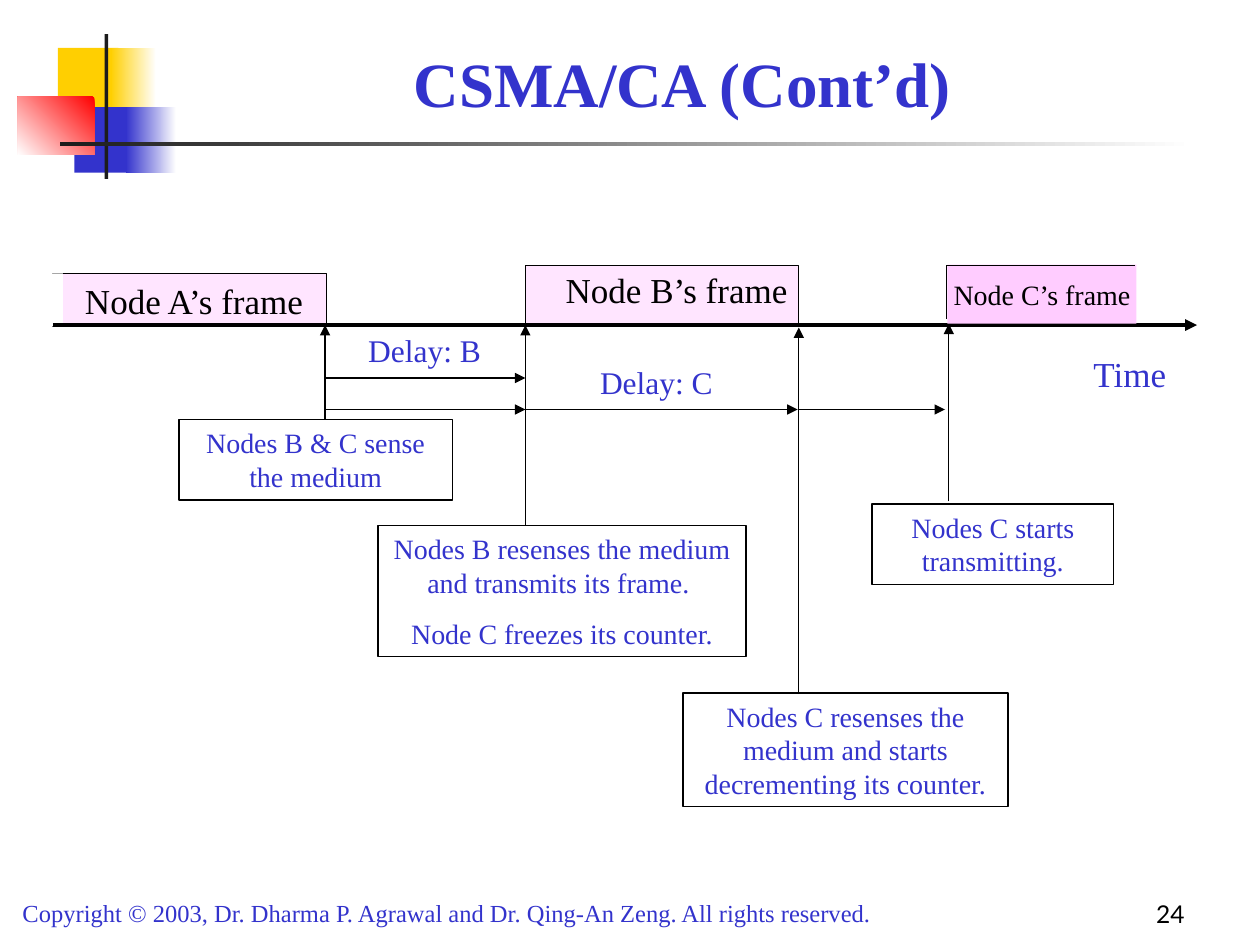
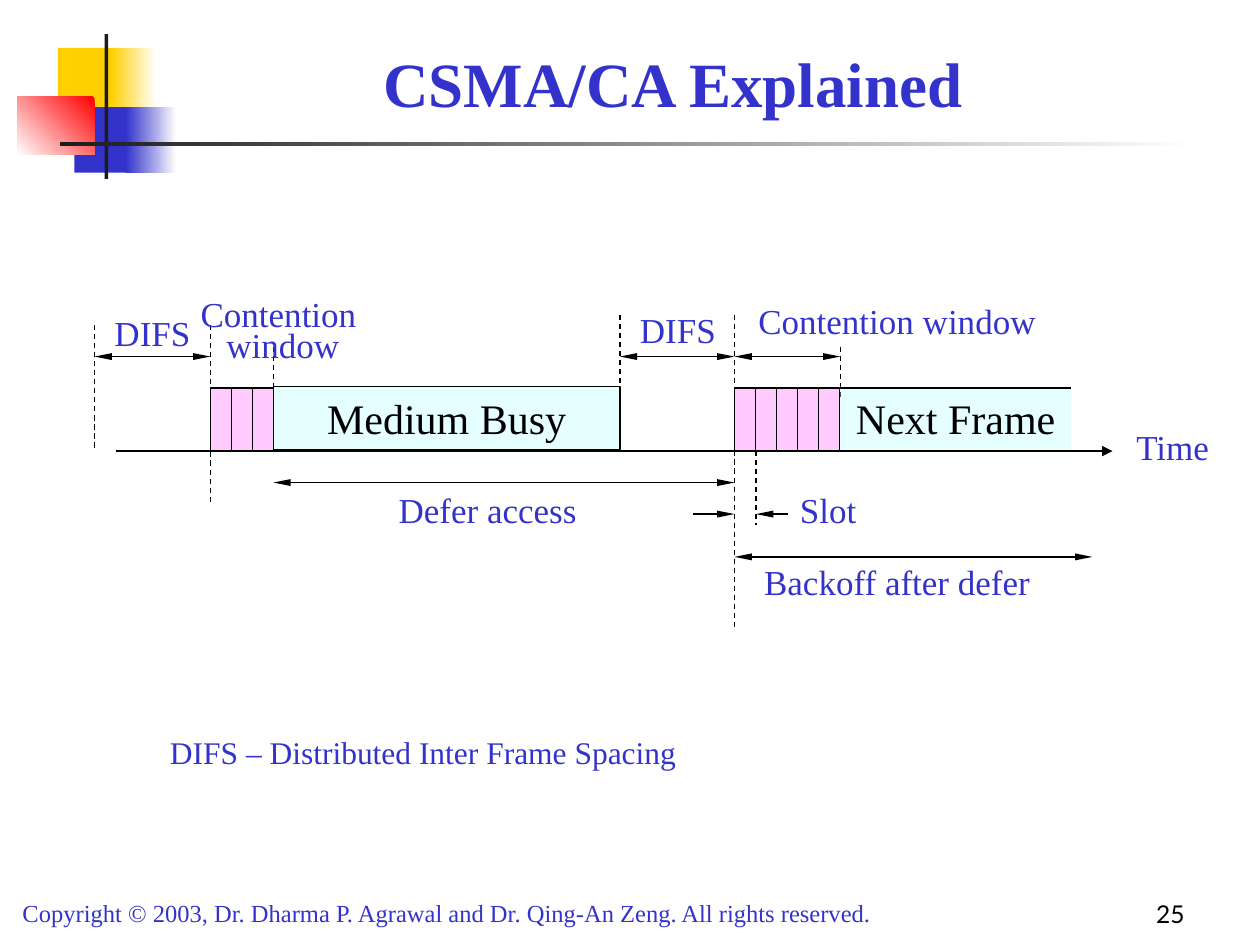
from dataclasses import dataclass

from lxml import etree
from pptx import Presentation
from pptx.dml.color import RGBColor
from pptx.enum.dml import MSO_LINE_DASH_STYLE as DASH
from pptx.enum.shapes import MSO_CONNECTOR as CONNECTOR, MSO_SHAPE as SHAPE
from pptx.enum.text import MSO_ANCHOR as ANCHOR, PP_ALIGN as ALIGN
from pptx.oxml.ns import qn
from pptx.util import Inches, Pt

COLORS = {
    "blue": "3333CC", "yellow": "FFCF01", "red": "FF0000", "white": "FFFFFF",
    "black": "000000", "dark": "1C1C1C", "pink": "FFCCFF", "magenta": "FF99FF",
    "cyan": "CCFFFF",
}
SERIF = "Times New Roman"
COPYRIGHT = ("Copyright © 2003, Dr. Dharma P. Agrawal and Dr. Qing-An Zeng. "
             "All rights reserved.")
SLOT_W = 1 / 6


@dataclass
class Box:
    """A rectangle or label, with optional fill, outline and text."""
    x: float
    y: float
    w: float
    h: float
    text: str = ""
    size: float = 20
    color: str = "blue"
    align: ALIGN = ALIGN.CENTER
    fill: str | None = None
    alpha: int = 100
    outline: bool = False
    space: float = 0
    spacing: float | None = None
    insets: tuple[float, float] = (0.1, 0.05)


@dataclass
class Line:
    """A straight line, with optional arrowheads."""
    x1: float
    y1: float
    x2: float
    y2: float
    heads: str = ""          # any of "head", "tail", "both"
    dash: bool = False
    width: float = 0.75
    slim: bool = False       # narrow, long arrowheads


@dataclass
class Band:
    """A block of the corner ornament, fading from start to end."""
    x: float
    y: float
    w: float
    h: float
    start: str
    end: str | None = None
    angle: float = 180


BANDS = [
    Band(0.46, 0.38, 0.48, 0.52, "yellow"),
    Band(0.88, 0.38, 0.36, 0.52, "white", "yellow"),
    Band(0.59, 0.85, 0.46, 0.52, "blue"),
    Band(1, 0.85, 0.4, 0.52, "white", "blue"),
    Band(0.14, 0.77, 0.61, 0.46, "red", "white", 225),
    Band(0.83, 0.27, 0.03, 1.15, "dark"),
    Band(0.48, 1.13, 9, 0.03, "white", "dark"),
]


def rgb(name: str) -> RGBColor:
    return RGBColor.from_string(COLORS[name])


def write_text(tf, text: str, *, size: float = 20, color: str = "blue",
               font: str = SERIF, bold: bool = False, align=ALIGN.CENTER,
               anchor=ANCHOR.TOP, space: float = 0,
               spacing: float | None = None,
               insets: tuple[float, float] = (0.1, 0.05)) -> None:
    """Write text into a frame, one paragraph for each line."""
    tf.word_wrap = True
    tf.vertical_anchor = anchor
    tf.margin_left = tf.margin_right = Inches(insets[0])
    tf.margin_top = tf.margin_bottom = Inches(insets[1])
    for i, line in enumerate(text.split("\n")):
        p = tf.paragraphs[0] if i == 0 else tf.add_paragraph()
        p.alignment = align
        if i:
            p.space_before = Pt(space)
        if spacing:
            p.line_spacing = spacing
        r = p.add_run()
        r.text = line
        r.font.name, r.font.size, r.font.bold = font, Pt(size), bold
        r.font.color.rgb = rgb(color)


def add_text(slide, x: float, y: float, w: float, h: float, text: str,
             **fmt) -> None:
    sp = slide.shapes.add_textbox(Inches(x), Inches(y), Inches(w), Inches(h))
    write_text(sp.text_frame, text, **fmt)


def add_rect(slide, x: float, y: float, w: float, h: float):
    sp = slide.shapes.add_shape(SHAPE.RECTANGLE, Inches(x), Inches(y),
                                Inches(w), Inches(h))
    sp.shadow.inherit = False
    sp.line.fill.background()
    return sp


def draw_band(slide, band: Band) -> None:
    sp = add_rect(slide, band.x, band.y, band.w, band.h)
    if band.end is None:
        sp.fill.solid()
        sp.fill.fore_color.rgb = rgb(band.start)
        return
    sp.fill.gradient()
    sp.fill.gradient_angle = band.angle
    for stop, name in zip(sp.fill.gradient_stops, (band.start, band.end)):
        stop.color.rgb = rgb(name)


def draw_box(slide, box: Box) -> None:
    fmt = dict(size=box.size, color=box.color, align=box.align,
               space=box.space, spacing=box.spacing, insets=box.insets)
    place = (box.x, box.y, box.w, box.h)
    if not (box.fill or box.outline):
        add_text(slide, *place, box.text, **fmt)
        return
    sp = add_rect(slide, *place)
    if box.fill:
        sp.fill.solid()
        sp.fill.fore_color.rgb = rgb(box.fill)
        if box.alpha < 100:
            clr = sp.fill._xPr.find(".//" + qn("a:srgbClr"))
            etree.SubElement(clr, qn("a:alpha"), val=str(box.alpha * 1000))
    else:
        sp.fill.background()
    if box.outline:
        sp.line.color.rgb = rgb("black")
        sp.line.width = Pt(0.75)
    if box.text:
        write_text(sp.text_frame, box.text, **fmt)


def draw_line(slide, line: Line) -> None:
    cx = slide.shapes.add_connector(
        CONNECTOR.STRAIGHT, Inches(line.x1), Inches(line.y1),
        Inches(line.x2), Inches(line.y2))
    cx.line.color.rgb = rgb("black")
    cx.line.width = Pt(line.width)
    if line.dash:
        cx.line.dash_style = DASH.DASH
    ln = cx.line._get_or_add_ln()
    w, length = ("sm", "lg") if line.slim else ("med", "med")
    for end in ("head", "tail"):
        if line.heads in (end, "both"):
            etree.SubElement(ln, qn(f"a:{end}End"), type="triangle",
                             w=w, len=length)
    etree.SubElement(cx._element.spPr, qn("a:effectLst"))


def build_slide(prs, title: str, title_at: tuple, number: int,
                items: list) -> None:
    """Draw the shared frame, then the diagram from back to front."""
    slide = prs.slides.add_slide(prs.slide_layouts[6])
    for band in BANDS:
        draw_band(slide, band)
    add_text(slide, 0.08, 7.08, 7.58, 0.34, COPYRIGHT, size=14,
             align=ALIGN.LEFT)
    add_text(slide, *title_at, title, size=36, bold=True,
             anchor=ANCHOR.BOTTOM)
    for item in items:
        if isinstance(item, Box):
            draw_box(slide, item)
        else:
            draw_line(slide, item)
    add_text(slide, 7.42, 6.92, 2.08, 0.5, str(number), size=14,
             color="black", font="Lato", align=ALIGN.RIGHT,
             anchor=ANCHOR.BOTTOM)


def note(x: float, y: float, w: float, h: float, text: str) -> Box:
    return Box(x, y, w, h, text, 16, outline=True, space=10)


def frame(x: float, y: float, w: float, h: float) -> Box:
    return Box(x, y, w, h, fill="pink", alpha=50, outline=True)


def arrow(x1: float, y1: float, x2: float, y2: float) -> Line:
    return Line(x1, y1, x2, y2, "tail")


def span(x1: float, x2: float, y: float) -> Line:
    return Line(x1, y, x2, y, "both", slim=True)


def marker(x: float, y1: float, y2: float) -> Line:
    return Line(x, y1, x, y2, dash=True)


def slots(x: float, count: int) -> list[Box]:
    return [Box(x + i * SLOT_W, 3.08, SLOT_W, 0.5, fill="magenta", alpha=50,
                outline=True) for i in range(count)]


def backoff_items() -> list:
    a_end, b_start, b_end, c_start = 2.58, 4.17, 6.33, 7.51
    axis_y, delay_y = 2.58, 3.25
    return [
        Box(8.58, 2.75, 0.92, 0.44, "Time", align=ALIGN.LEFT),
        # Frames A and B, and their notes
        frame(0.42, 2.17, 2.17, 0.42),
        Box(0.5, 2.17, 2.08, 0.44, "Node A’s frame", color="black"),
        arrow(a_end, 3.33, a_end, axis_y),
        note(1.42, 3.33, 2.17, 0.64, "Nodes B & C sense the medium"),
        arrow(b_start, 4.17, b_start, axis_y),
        note(3, 4.17, 2.92, 1.04,
             "Nodes B resenses the medium and transmits its frame. \n"
             "Node C freezes its counter."),
        frame(b_start, 2.11, 2.17, 0.48),
        Box(4.08, 2.08, 2.58, 0.44, "Node B’s frame", color="black"),
        arrow(7.53, 3.98, 7.53, 2.57),
        note(6.92, 4, 1.92, 0.64, "Nodes C starts transmitting."),
        Box(0.25, 2.17, 0.25, 0.42, fill="white"),
        # Delays and time axis
        arrow(a_end, 3, b_start, 3),
        arrow(b_end, delay_y, 7.5, delay_y),
        Box(2.58, 2.58, 1.58, 0.4, "Delay: B", 18),
        Box(4.42, 2.83, 1.58, 0.4, "Delay: C", 18),
        Line(0.42, axis_y, 9.5, axis_y, "tail", width=2.25),
        arrow(6.34, 5.51, 6.34, 2.6),
        arrow(a_end, delay_y, b_start, delay_y),
        note(5.42, 5.5, 2.58, 0.9, "Nodes C resenses the medium and starts "
             "decrementing its counter."),
        arrow(b_start, delay_y, b_end, delay_y),
        # Frame C, open on the right
        Box(7.52, 2.1, 1.5, 0.47, "Node C’s frame", 16, "black", fill="pink",
            insets=(0, 0.1)),
        Line(c_start, 2.11, c_start, 2.53),
        Line(c_start, 2.11, 9.01, 2.11),
    ]


def difs_items() -> list:
    first, busy, idle, backoff, nxt = 1.67, 2.17, 4.92, 5.83, 6.67
    span_y, axis_y = 2.83, 3.58
    return [
        # Markers, spans and time axis
        marker(0.75, 2.58, axis_y),
        span(0.75, first, span_y),
        Box(0.75, 2.42, 0.92, 0.44, "DIFS"),
        marker(first, 2.58, 4),
        marker(idle, 2.5, 3.42),
        span(idle, backoff, span_y),
        arrow(0.92, axis_y, 8.83, axis_y),
        marker(backoff, 2.5, 5),
        marker(nxt, 2.75, 3.17),
        span(backoff, nxt, span_y),
        # Slots and frames
        *slots(backoff, 5),
        Box(nxt, 3.07, 1.83, 0.5, "Next Frame", 24, "black", fill="cyan",
            alpha=50),
        Box(busy, 3.07, 2.75, 0.5, "Medium Busy", 24, "black", fill="cyan",
            alpha=50, outline=True),
        Box(idle, 2.4, 0.92, 0.44, "DIFS"),
        Box(backoff, 2.33, 2.58, 0.44, "Contention window"),
        # Deferral, slot and backoff
        span(busy, backoff, 3.83),
        span(backoff, 8.67, 4.42),
        Box(2.58, 3.83, 2.58, 0.44, "Defer access"),
        Box(backoff, 4.4, 2.58, 0.44, "Backoff after defer"),
        Line(nxt, 3.08, 8.5, 3.08),
        marker(6, axis_y, 4.17),
        Line(5.5, 4.08, backoff, 4.08, "tail", slim=True),
        Line(6.25, 4.08, 6, 4.08, "tail", slim=True),
        Box(6.25, 3.83, 0.67, 0.44, "Slot", align=ALIGN.LEFT),
        Box(8.92, 3.33, 0.83, 0.44, "Time", align=ALIGN.LEFT),
        Box(1.25, 5.77, 4.92, 0.4, "DIFS – Distributed Inter Frame Spacing",
            18, align=ALIGN.LEFT),
        # First contention window
        *slots(first, 3),
        marker(busy, 2.75, 3.17),
        Box(0.92, 2.5, 2.58, 0.41, "Contention\n window", space=12.5,
            spacing=0.2),
    ]


def main() -> None:
    prs = Presentation()
    prs.slide_width, prs.slide_height = Inches(10), Inches(7.5)
    build_slide(prs, "CSMA/CA (Cont’d)", (0.83, 0.25, 9.17, 0.75), 24,
                backoff_items())
    build_slide(prs, "CSMA/CA Explained", (1.08, 0.39, 8.52, 0.61), 25,
                difs_items())
    prs.save("out.pptx")


if __name__ == "__main__":
    main()
